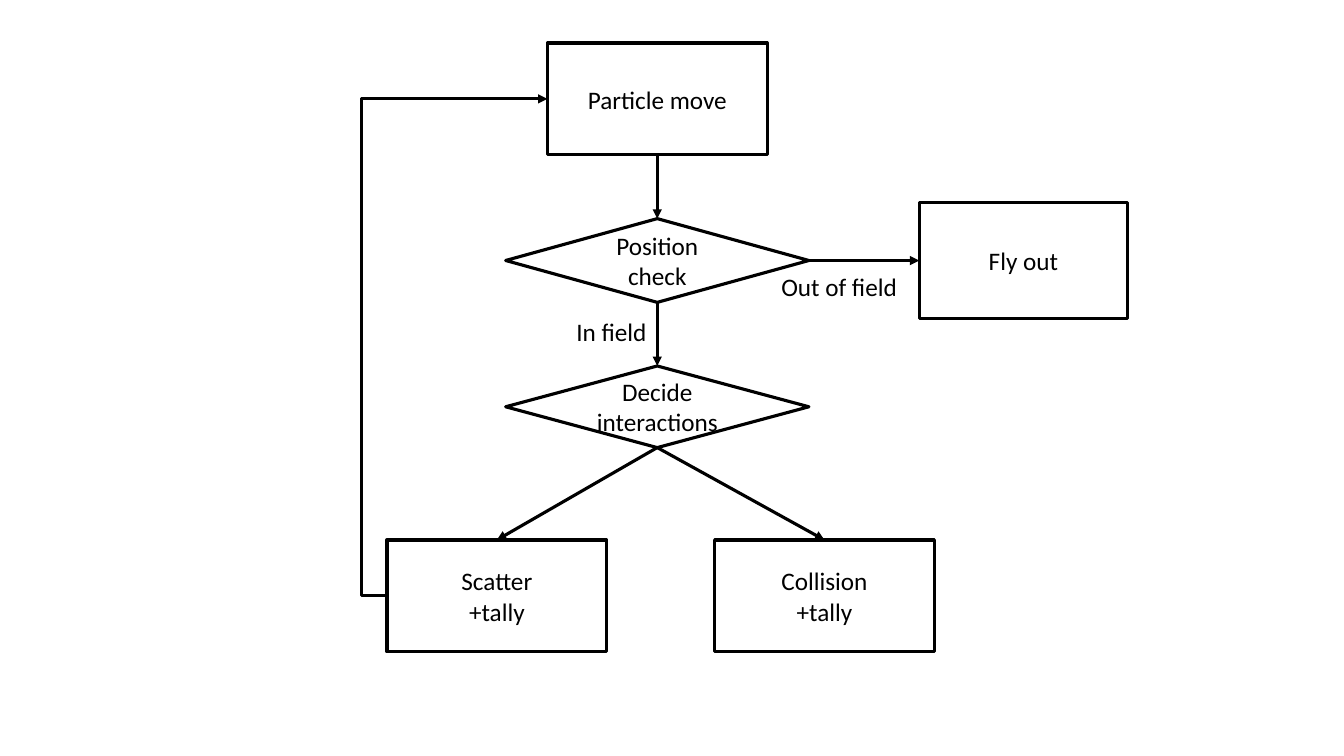
import pptx
import pptx.dml.color
import pptx.enum.shapes
import pptx.enum.text
import pptx.oxml
import pptx.oxml.ns
import pptx.util
from lxml import etree

Pt = pptx.util.Pt
qn = pptx.oxml.ns.qn
SHAPES = pptx.enum.shapes.MSO_SHAPE
CONNECTORS = pptx.enum.shapes.MSO_CONNECTOR
ALIGN = pptx.enum.text.PP_ALIGN
TOP, LEFT, BOTTOM, RIGHT = range(4)  # connection sites


def color(hex_string):
    return pptx.dml.color.RGBColor.from_string(hex_string)


def set_attributes(target, values):
    for name, value in values.items():
        setattr(target, name, value)


class Flowchart:
    """Holds the style and the current slide."""

    ink = "000000"
    line_width = Pt(2.25)
    font = {"name": "Calibri", "size": Pt(18)}

    def __init__(self, slide):
        self.slide = slide

    def fill_text(self, shape, text, alignment, frame_format):
        set_attributes(shape.text_frame, frame_format)
        shape.text_frame.text = text
        for paragraph in shape.text_frame.paragraphs:
            paragraph.alignment = alignment
            set_attributes(paragraph.font, self.font)
            paragraph.font.color.rgb = color(self.ink)

    def draw_line(self, line):
        line.color.rgb = color(self.ink)
        line.width = self.line_width

    def node(self, kind, text, left, top, width, height):
        shape = self.slide.shapes.add_shape(kind, Pt(left), Pt(top), Pt(width), Pt(height))
        shape.shadow.inherit = False
        shape.fill.background()
        self.draw_line(shape.line)
        self.fill_text(shape, text, ALIGN.CENTER, {
            "word_wrap": True,
            "vertical_anchor": pptx.enum.text.MSO_ANCHOR.MIDDLE,
        })
        return shape

    def label(self, text, left, top, width, height):
        box = self.slide.shapes.add_textbox(Pt(left), Pt(top), Pt(width), Pt(height))
        self.fill_text(box, text, ALIGN.LEFT, {
            "word_wrap": False,
            "auto_size": pptx.enum.text.MSO_AUTO_SIZE.SHAPE_TO_FIT_TEXT,
        })

    def arrow(self, source, source_site, target, target_site, bend=None):
        kind = CONNECTORS.STRAIGHT if bend is None else CONNECTORS.ELBOW
        connector = self.slide.shapes.add_connector(kind, 0, 0, 0, 0)
        connector.begin_connect(source, source_site)
        connector.end_connect(target, target_site)
        self.draw_line(connector.line)
        properties = connector._element.spPr
        etree.SubElement(properties.find(qn("a:ln")), qn("a:tailEnd"), type="triangle")
        etree.SubElement(properties, qn("a:effectLst"))
        if bend is not None:
            guides = properties.find(qn("a:prstGeom")).get_or_add_avLst()
            etree.SubElement(guides, qn("a:gd"), name="adj1", fmla=f"val {bend}")


# Slide
presentation = pptx.Presentation()
presentation.slide_width, presentation.slide_height = Pt(960), Pt(540)
slide = presentation.slides.add_slide(presentation.slide_layouts[6])
chart = Flowchart(slide)

# Steps
step_size = (157, 80)
fly_out = chart.node(SHAPES.RECTANGLE, "Fly out", 656.6, 144.7, 149, 82.8)
particle_move = chart.node(SHAPES.RECTANGLE, "Particle move", 391, 30.7, *step_size)
scatter, collision = [
    chart.node(SHAPES.RECTANGLE, f"{name}\n+tally", left, 385.7, *step_size)
    for name, left in (("Scatter", 276.4), ("Collision", 510.4))
]

# Decisions
position_check, decide = [
    chart.node(SHAPES.DIAMOND, text, 361.2, top, 216.6, height)
    for text, top, height in (
        ("Position check", 156.2, 59.8),
        ("Decide interactions", 261.4, 58.3),
    )
]

# Flow
for source, source_site, target, target_site in (
    (particle_move, BOTTOM, position_check, TOP),
    (position_check, BOTTOM, decide, TOP),
    (decide, BOTTOM, collision, TOP),
    (decide, BOTTOM, scatter, TOP),
    (position_check, RIGHT, fly_out, LEFT),
):
    chart.arrow(source, source_site, target, target_site)
chart.arrow(scatter, LEFT, particle_move, LEFT, bend=-15700)

# Branch labels
chart.label("In field", 404.6, 222.5, 65.5, 29)
chart.label("Out of field", 551, 190, 98, 29)

presentation.save("out.pptx")
